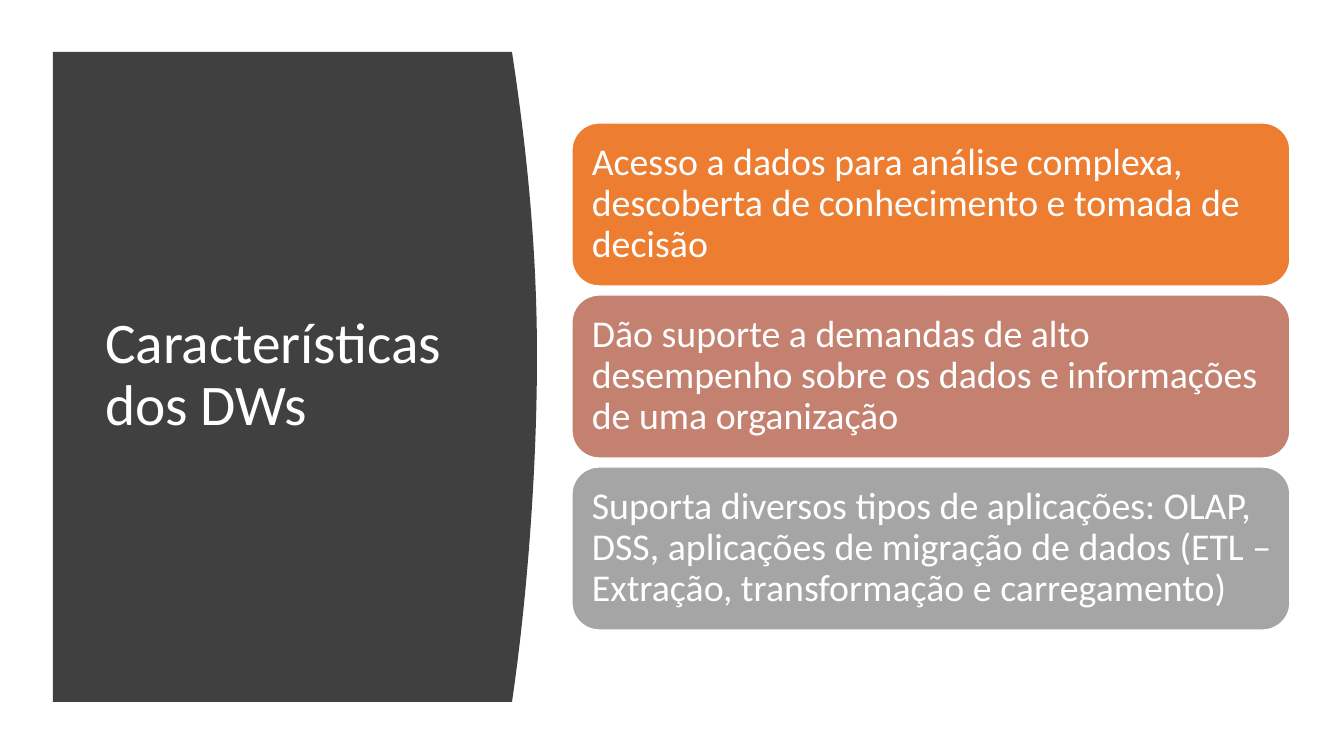
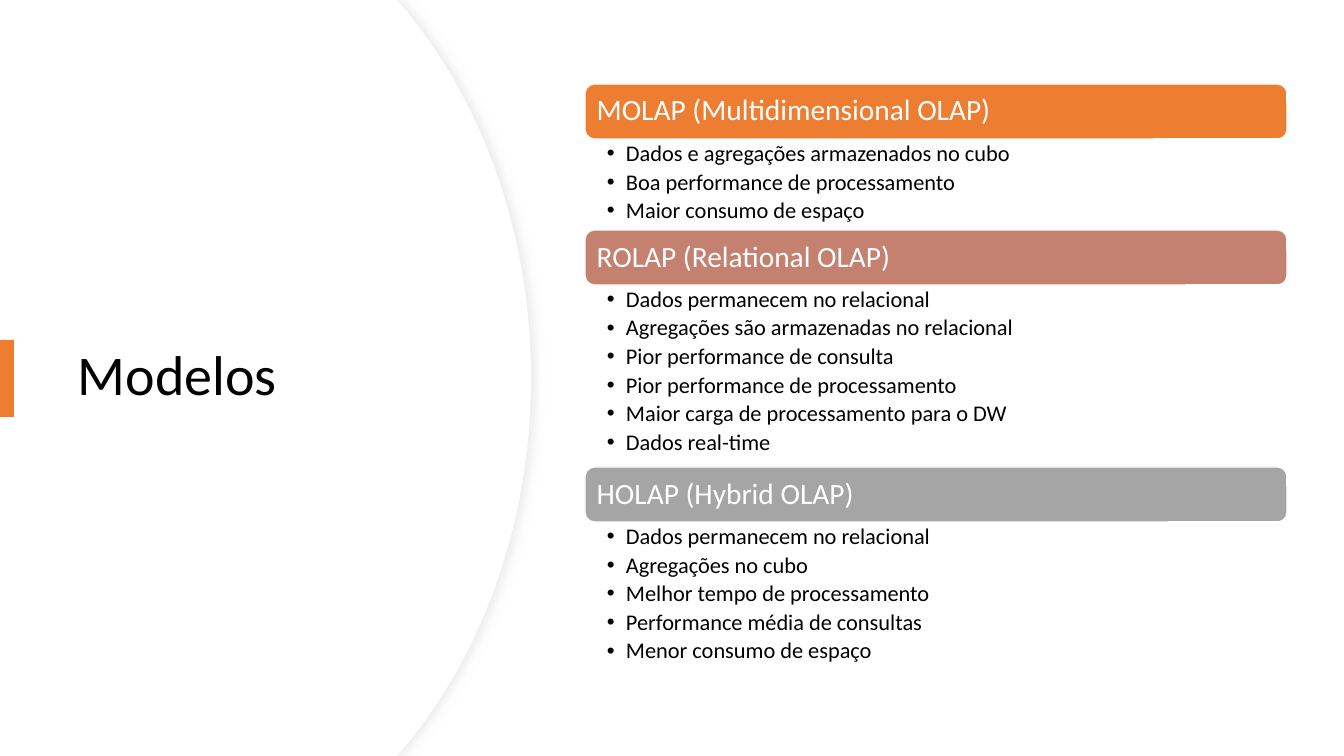
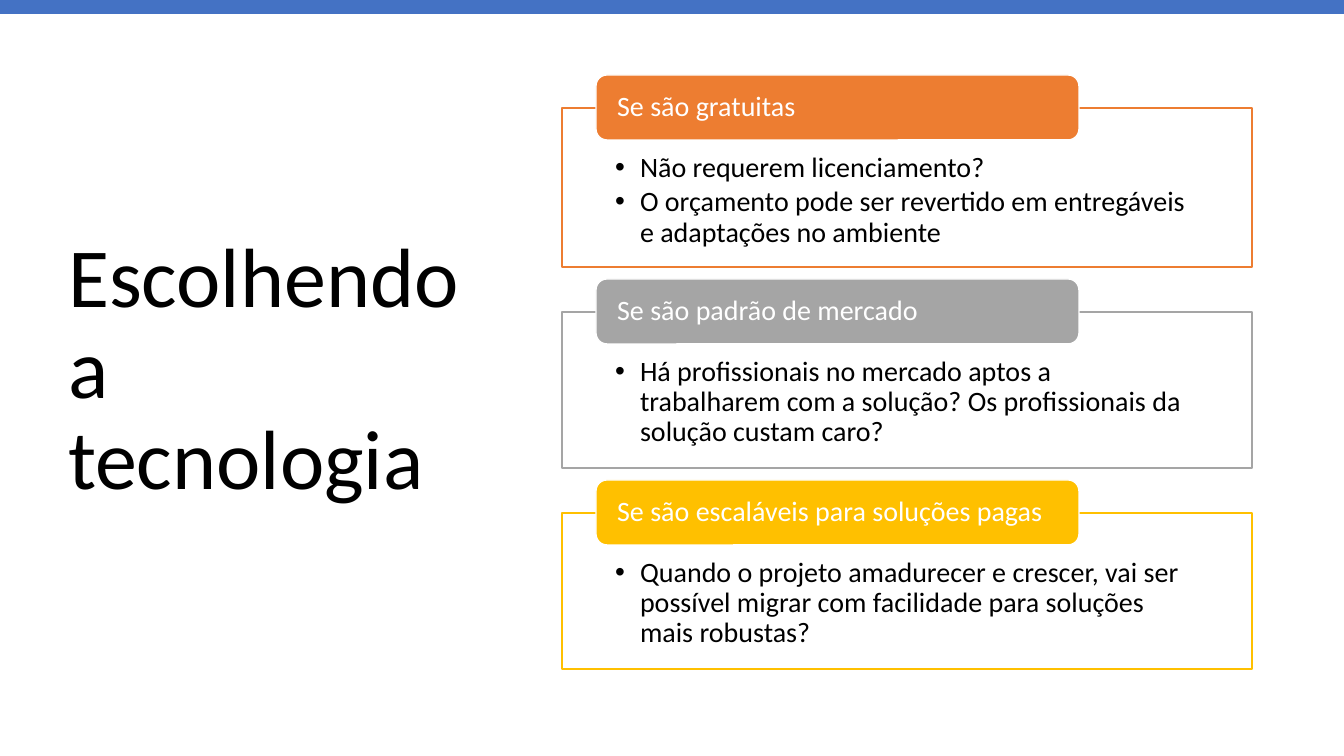
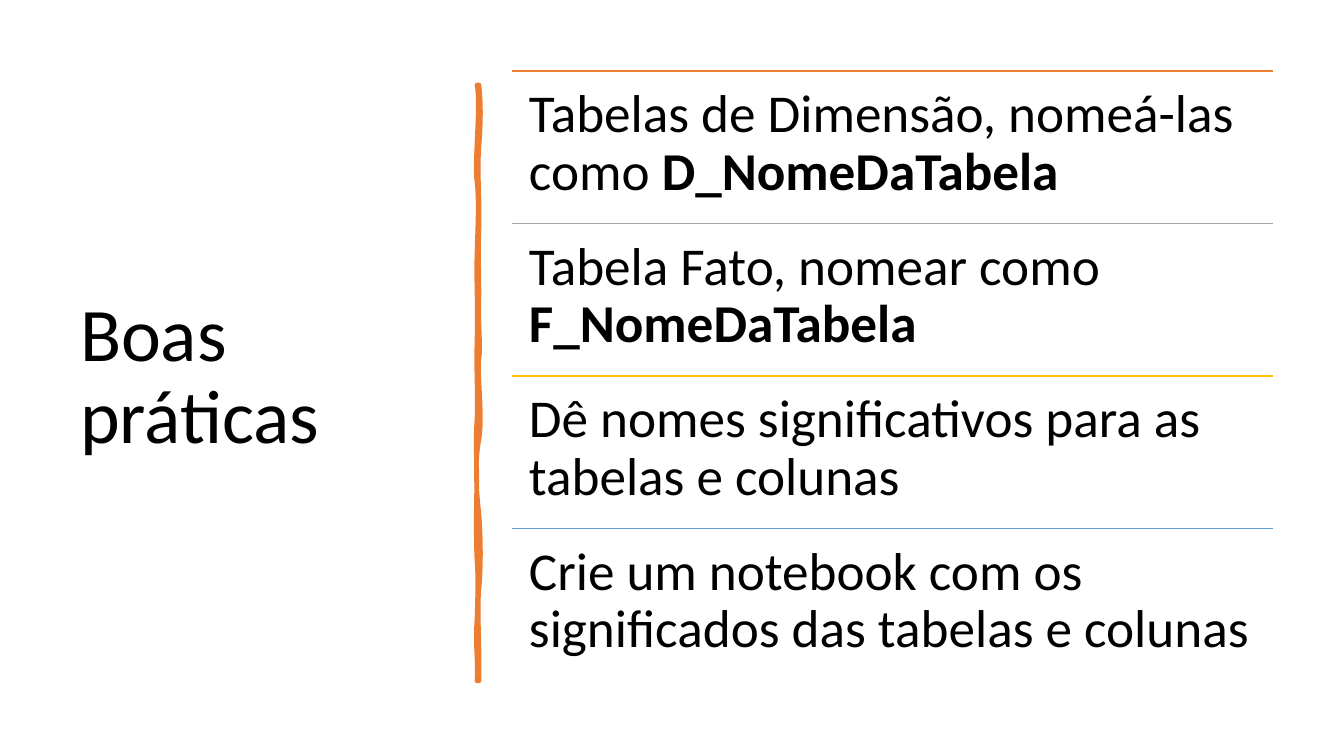
from lxml import etree
from pptx import Presentation
from pptx.dml.color import RGBColor
from pptx.enum.shapes import MSO_CONNECTOR, MSO_SHAPE
from pptx.enum.text import MSO_ANCHOR, MSO_AUTO_SIZE, PP_ALIGN
from pptx.oxml.ns import qn
from pptx.util import Emu, Pt

RECT, ROUND = MSO_SHAPE.RECTANGLE, MSO_SHAPE.ROUNDED_RECTANGLE
STRAIGHT = MSO_CONNECTOR.STRAIGHT
TOP, MIDDLE = MSO_ANCHOR.TOP, MSO_ANCHOR.MIDDLE
LEFT = PP_ALIGN.LEFT
NO_FIT = MSO_AUTO_SIZE.NONE

WHITE = RGBColor(0xFF, 0xFF, 0xFF)
BLACK = RGBColor(0, 0, 0)
DARK = RGBColor(0x40, 0x40, 0x40)
PALE = RGBColor(0xEF, 0xEF, 0xEF)
ORANGE = RGBColor(0xED, 0x7D, 0x31)
ROSE = RGBColor(0xC4, 0x81, 0x70)
GRAY = RGBColor(0xA5, 0xA5, 0xA5)
GOLD = RGBColor(0xFF, 0xC0, 0x00)
BLUE = RGBColor(0x44, 0x72, 0xC4)
SKY = RGBColor(0x5B, 0x9B, 0xD5)

FONT = "Calibri"
WIDTH, HEIGHT = 1344, 756
SCALE = 12192000 / WIDTH

FEATURES = [
    (ORANGE, "Acesso a dados para análise complexa, descoberta de conhecimento e tomada de decisão"),
    (ROSE, "Dão suporte a demandas de alto desempenho sobre os dados e informações de uma organização"),
    (GRAY, "Suporta diversos tipos de aplicações: OLAP, DSS, aplicações de migração de dados "
           "(ETL – Extração, transformação e carregamento)"),
]
MODELS = [
    (ORANGE, 91, "MOLAP (Multidimensional OLAP)", [
        "Dados e agregações armazenados no cubo",
        "Boa performance de processamento",
        "Maior consumo de espaço"]),
    (ROSE, 182, "ROLAP (Relational OLAP)", [
        "Dados permanecem no relacional",
        "Agregações são armazenadas no relacional",
        "Pior performance de consulta",
        "Pior performance de processamento",
        "Maior carga de processamento para o DW",
        "Dados real-time"]),
    (GRAY, 151, "HOLAP (Hybrid OLAP)", [
        "Dados permanecem no relacional",
        "Agregações no cubo",
        "Melhor tempo de processamento",
        "Performance média de consultas",
        "Menor consumo de espaço"]),
]
CRITERIA = [
    (ORANGE, 159, "Se são gratuitas", [
        "Não requerem licenciamento?",
        "O orçamento pode ser revertido em entregáveis e adaptações no ambiente"]),
    (GRAY, 156, "Se são padrão de mercado", [
        "Há profissionais no mercado aptos a trabalharem com a solução? "
        "Os profissionais da solução custam caro?"]),
    (GOLD, 156, "Se são escaláveis para soluções pagas", [
        "Quando o projeto amadurecer e crescer, vai ser possível migrar com facilidade "
        "para soluções mais robustas?"]),
]
PRACTICES = [
    (ORANGE, "Tabelas de Dimensão, nomeá-las como ", "D_NomeDaTabela"),
    (GRAY, "Tabela Fato, nomear como ", "F_NomeDaTabela"),
    (GOLD, "Dê nomes significativos para as tabelas e colunas", ""),
    (SKY, "Crie um notebook com os significados das tabelas e colunas", ""),
]

PANEL = [(53, 52), (512, 52), (527, 150, 537, 250, 537, 356),
         (537, 470, 527, 600, 512, 702), (53, 702)]
DISC = [(0, 0), (397, 0), (404, 8), (483, 103, 531, 234, 531, 378),
        (531, 522, 483, 653, 404, 748), (397, 756), (0, 756)]
BRUSH = [
    (479, 85), (481, 103, 481, 120, 479, 147), (477, 174, 480, 197, 479, 228),
    (478, 259, 479, 264, 479, 296), (478, 328, 481, 345, 479, 359),
    (477, 373, 483, 417, 479, 439), (475, 461, 476, 488, 479, 514),
    (481, 540, 481, 569, 479, 589), (477, 608, 480, 655, 479, 681),
    (477, 681), (478, 651, 475, 649, 477, 618), (478, 588, 478, 575, 477, 561),
    (476, 548, 476, 499, 477, 481), (477, 463, 475, 449, 477, 418),
    (478, 389, 476, 376, 477, 338), (478, 300, 476, 283, 477, 252),
    (478, 220, 479, 202, 477, 182), (474, 164, 481, 105, 477, 85),
]


def px(n):
    return Emu(round(n * SCALE))


def paint(sp, fill, line=None, width=1):
    sp.shadow.inherit = False
    sp.fill.solid()
    sp.fill.fore_color.rgb = fill
    if line is None:
        sp.line.fill.background()
    else:
        sp.line.color.rgb = line
        sp.line.width = Pt(width)
    return sp


def set_alpha(color, percent):
    etree.SubElement(color, qn("a:alpha"), val=str(percent * 1000))


def add_box(slide, kind, box, fill, line=None):
    return paint(slide.shapes.add_shape(kind, *map(px, box)), fill, line)


def add_textbox(slide, box):
    return slide.shapes.add_textbox(*map(px, box))


def add_outline(slide, outline, fill, line=None, width=1):
    points = [(px(seg[i]), px(seg[i + 1])) for seg in outline for i in range(0, len(seg), 2)]
    builder = slide.shapes.build_freeform(*points[0])
    builder.add_line_segments(points[1:], close=True)
    sp = builder.convert_to_shape()
    steps = iter(list(sp._element.iter(qn("a:lnTo"))))
    for seg in outline[1:]:
        step = next(steps)
        if len(seg) == 6:
            curve = etree.Element(qn("a:cubicBezTo"))
            step.addprevious(curve)
            for part in (step, next(steps), next(steps)):
                curve.append(part[0])
                part.getparent().remove(part)
    return paint(sp, fill, line, width)


def add_soft_shadow(sp):
    effects = sp._element.spPr.find(qn("a:effectLst"))
    shadow = etree.SubElement(effects, qn("a:outerShdw"), blurRad=str(Pt(7)), dist=str(Pt(3)), dir="0")
    set_alpha(etree.SubElement(shadow, qn("a:srgbClr"), val="D9D9D9"), 50)


def add_rule(slide, x, y, width, color):
    line = slide.shapes.add_connector(STRAIGHT, px(x), px(y), px(x + width), px(y))
    line.line.color.rgb = color
    line.line.width = Pt(1)
    etree.SubElement(line._element.spPr, qn("a:effectLst"))


def write(sp, *paragraphs, size, color=BLACK, insets=(10, 5, 10, 5), anchor=TOP, bullet=0, after=0):
    tf = sp.text_frame
    tf.word_wrap = True
    tf.auto_size = NO_FIT
    tf.vertical_anchor = anchor
    tf.margin_left, tf.margin_top, tf.margin_right, tf.margin_bottom = map(px, insets)
    for i, runs in enumerate(paragraphs):
        p = tf.paragraphs[0] if i == 0 else tf.add_paragraph()
        p.alignment = LEFT
        p.line_spacing = 0.9
        p.space_after = Pt(after)
        if bullet:
            pPr = p._p.get_or_add_pPr()
            pPr.set("marL", str(px(bullet)))
            pPr.set("indent", str(-px(bullet)))
            etree.SubElement(pPr, qn("a:buFont"), typeface="Arial")
            etree.SubElement(pPr, qn("a:buChar"), char="•")
        for text, bold in [(runs, False)] if isinstance(runs, str) else runs:
            r = p.add_run()
            r.text = text
            r.font.name = FONT
            r.font.size = Pt(size)
            r.font.bold = bold
            r.font.color.rgb = color


def set_title(slide, text, box, size, color=BLACK):
    title = slide.shapes.title
    title.left, title.top, title.width, title.height = map(px, box)
    slide.shapes._spTree.append(title._element)
    write(title, text, size=size, color=color, anchor=MIDDLE)


def build_features(slide):
    add_outline(slide, PANEL, DARK)
    set_title(slide, "Características dos DWs", (95, 112, 377, 528), 41, WHITE)
    for i, (color, text) in enumerate(FEATURES):
        card = add_box(slide, ROUND, (572, 123 + 172 * i, 718, 163), color, WHITE)
        write(card, text, size=27, color=WHITE, insets=(12, 11, 9, 11), anchor=MIDDLE)


def build_models(slide):
    add_soft_shadow(add_outline(slide, DISC, WHITE, PALE, 0.75))
    add_outline(slide, DISC, WHITE)
    set_title(slide, "Modelos", (68, 128, 397, 499), 40)
    add_box(slide, RECT, (0, 340, 14, 77), ORANGE)
    x, y, width, head = 585, 84, 702, 55
    for color, height, name, items in MODELS:
        header = add_box(slide, ROUND, (x, y, width, head), color, WHITE)
        write(header, name, size=21, color=WHITE, insets=(9,) * 4, anchor=MIDDLE)
        body = add_textbox(slide, (x, y + head, width, height))
        write(body, *items, size=16, insets=(22, 3, 16, 3), bullet=19, after=3.2)
        y += head + height


def build_criteria(slide):
    set_title(slide, "Escolhendo a tecnologia", (58, 68, 419, 607), 60)
    add_box(slide, RECT, (0, 0, WIDTH, 14), BLUE)
    x, y, gap = 562, 108, 45
    for color, height, name, items in CRITERIA:
        frame = add_box(slide, RECT, (x, y, 690, height), WHITE, color)
        set_alpha(frame.fill._xPr.find(qn("a:solidFill"))[0], 90)
        write(frame, *items, size=20, insets=(53, 45, 57, 16), bullet=25, after=3.2)
        tab = add_box(slide, ROUND, (x + 34, y - 33, 483, 65), color, WHITE)
        write(tab, name, size=20, color=WHITE, insets=(18, 0, 18, 0), anchor=MIDDLE)
        y += height + gap


def build_practices(slide):
    set_title(slide, "Boas práticas", (70, 70, 377, 616), 54)
    add_outline(slide, BRUSH, ORANGE, ORANGE, 3.25)
    x, top, width, height = 512, 71, 761, 610
    step = height / len(PRACTICES)
    for i, (color, text, strong) in enumerate(PRACTICES):
        y = top + step * i
        add_rule(slide, x, y, width, color)
        runs = [(text, False)] + ([(strong, True)] if strong else [])
        write(add_textbox(slide, (x, y, width, step)), runs, size=38, insets=(17, 16, 16, 16))


def main():
    prs = Presentation()
    prs.slide_width, prs.slide_height = px(WIDTH), px(HEIGHT)
    for build in (build_features, build_models, build_criteria, build_practices):
        build(prs.slides.add_slide(prs.slide_layouts[5]))
    prs.save("out.pptx")


if __name__ == "__main__":
    main()
